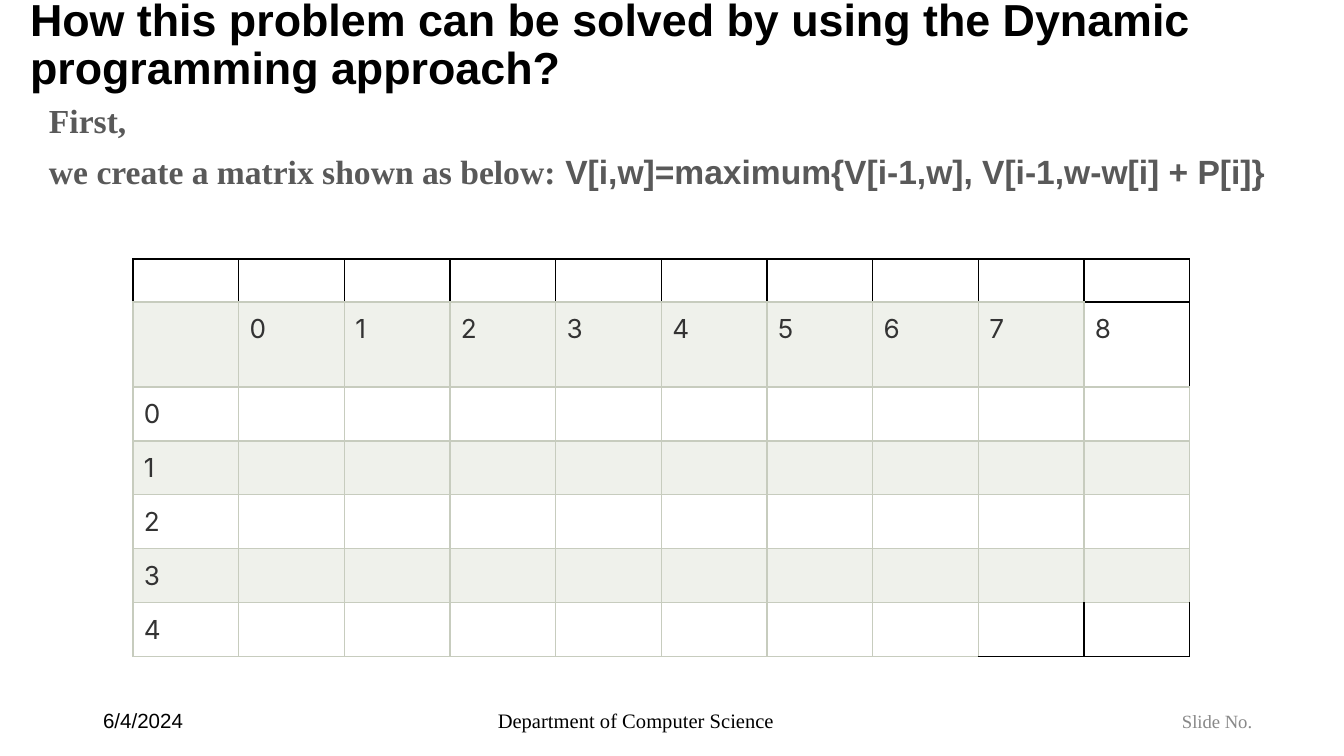
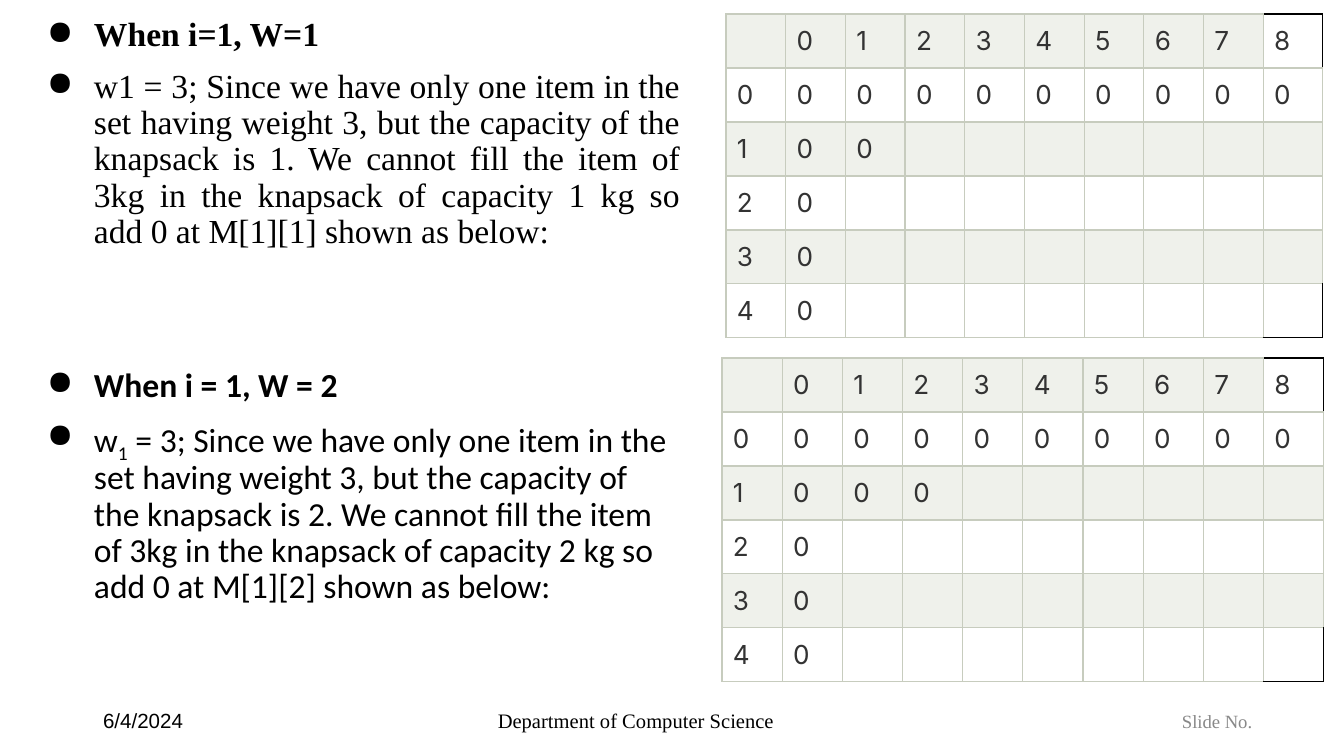
from dataclasses import dataclass

from lxml.etree import SubElement
from pptx import Presentation
from pptx.dml.color import RGBColor
from pptx.enum.text import MSO_ANCHOR as Anchor, MSO_AUTO_SIZE as AutoSize, PP_ALIGN as Align
from pptx.oxml.ns import qn
from pptx.util import Pt

SCALE = 9144000 / 1344
TITLE_ONLY, BLANK = 5, 6


@dataclass(frozen=True)
class Theme:
    black: str = "000000"
    body_gray: str = "595959"
    number_gray: str = "888888"
    cell_text: str = "333333"
    rule: str = "C7CCBE"
    tint: str = "EFF1EB"
    white: str = "FFFFFF"
    sans: str = "Arial"
    serif: str = "Times New Roman"
    humanist: str = "Calibri"
    table_font: str = "Inter"
    title_size: int = 24
    body_size: int = 18
    cell_size: int = 14
    blank_size: int = 11
    footer_size: int = 11
    number_size: int = 10
    leading: float = 0.9
    gap: int = 8
    border: float = 0.75


THEME = Theme()


def px(length):
    return round(length * SCALE)


def place(shape, box):
    shape.left, shape.top, shape.width, shape.height = map(px, box)


def set_margins(target, left, top, right, bottom):
    target.margin_left, target.margin_top = px(left), px(top)
    target.margin_right, target.margin_bottom = px(right), px(bottom)


def style_font(font, name, size, color, bold=False):
    font.name, font.size, font.bold = name, Pt(size), bold
    font.color.rgb = RGBColor.from_string(color)


def add_text_box(slide, box, margins=(10, 5, 10, 5), anchor=Anchor.TOP):
    frame = slide.shapes.add_textbox(*map(px, box)).text_frame
    frame.word_wrap = True
    frame.vertical_anchor = anchor
    set_margins(frame, *margins)
    return frame


def add_paragraph(frame, first, alignment, space_before=THEME.gap):
    paragraph = frame.paragraphs[0] if first else frame.add_paragraph()
    paragraph.alignment = alignment
    paragraph.line_spacing = THEME.leading
    paragraph.space_before = Pt(space_before)
    return paragraph


def indent(paragraph, left, first_line):
    properties = paragraph._p.get_or_add_pPr()
    properties.set("marL", str(px(left)))
    properties.set("indent", str(px(first_line)))
    return properties


def add_bullet(paragraph):
    properties = indent(paragraph, 67, -47)
    color = SubElement(properties, qn("a:buClr"))
    SubElement(color, qn("a:srgbClr"), val=THEME.black)
    SubElement(properties, qn("a:buChar"), char="●")


def add_title(slide, box, text):
    title = slide.shapes.title
    place(title, box)
    frame = title.text_frame
    frame.text = text
    frame.word_wrap = True
    frame.auto_size = AutoSize.NONE
    frame.vertical_anchor = Anchor.MIDDLE
    set_margins(frame, 10, 0, 10, 24)
    paragraph = frame.paragraphs[0]
    paragraph.alignment = Align.LEFT
    paragraph.line_spacing = THEME.leading
    style_font(paragraph.font, THEME.sans, THEME.title_size, THEME.black, True)


def add_intro(slide, box):
    frame = add_text_box(slide, box)
    lines = [
        [("First,", THEME.serif)],
        [("we create a matrix shown as below:", THEME.serif),
         (" V[i,w]=maximum{V[i-1,w], V[i-1,w-w[i] + P[i]}", THEME.sans)],
    ]
    for index, line in enumerate(lines):
        paragraph = add_paragraph(frame, index == 0, Align.JUSTIFY)
        indent(paragraph, 20, 0)
        style_font(paragraph.font, THEME.serif, THEME.body_size, THEME.body_gray, True)
        for text, font_name in line:
            run = paragraph.add_run()
            run.text = text
            run.font.name = font_name


def add_cases(slide, box):
    frame = add_text_box(slide, box)
    frame._txBody.bodyPr.set("numCol", "2")
    story = ("= 3; Since we have only one item in the set having weight 3, but the capacity "
             "of the knapsack is {0}. We cannot fill the item of 3kg in the knapsack of "
             "capacity {0} kg so add 0 at M[1][{0}] shown as below:")
    cases = [
        ("When i=1, W=1", ("w1 ", "", story.format(1)), THEME.serif, Align.JUSTIFY, THEME.gap),
        ("When i = 1, W = 2", ("w", "1", " " + story.format(2)), THEME.humanist, Align.LEFT, 63),
    ]
    for index, (heading, (stem, subscript, rest), font_name, alignment, gap) in enumerate(cases):
        paragraph = add_paragraph(frame, index == 0, alignment, gap)
        add_bullet(paragraph)
        paragraph.add_run().text = heading
        style_font(paragraph.font, font_name, THEME.body_size, THEME.black, True)

        paragraph = add_paragraph(frame, False, alignment)
        add_bullet(paragraph)
        style_font(paragraph.font, font_name, THEME.body_size, THEME.black)
        if subscript:
            paragraph.add_run().text = stem
            run = paragraph.add_run()
            run.text = subscript
            run._r.get_or_add_rPr().set("baseline", "-25000")
            paragraph.add_run().text = rest
        else:
            paragraph.add_run().text = stem + rest


def matrix_values(zero_counts):
    header = [""] + [str(weight) for weight in range(9)]
    body = [[str(item)] + ["0"] * count + [""] * (9 - count)
            for item, count in enumerate(zero_counts)]
    return [header] + body


def set_borders(cell, dark_sides):
    properties = cell._tc.get_or_add_tcPr()
    for side in "LRTB":
        line = SubElement(properties, qn(f"a:ln{side}"), w=str(Pt(THEME.border)))
        fill = SubElement(line, qn("a:solidFill"))
        color = THEME.black if side in dark_sides else THEME.rule
        SubElement(fill, qn("a:srgbClr"), val=color)


def fill_cell(cell, text, background, dark_sides):
    set_borders(cell, dark_sides)
    if background:
        cell.fill.solid()
        cell.fill.fore_color.rgb = RGBColor.from_string(background)
    else:
        cell.fill.background()
    paragraph = cell.text_frame.paragraphs[0]
    size = THEME.blank_size
    if text:
        size = THEME.cell_size
        paragraph.alignment = Align.JUSTIFY
        paragraph.add_run().text = text
        set_margins(cell, 11, 11, 11, 11)
    style_font(paragraph.font, THEME.table_font, size, THEME.cell_text)


def add_matrix(slide, left, top, width, row_heights, values, dark_edges, header_row=0):
    columns = len(values[0])
    box = (left, top, width, sum(row_heights))
    table = slide.shapes.add_table(len(values), columns, *map(px, box)).table
    table.first_row = table.horz_banding = False
    for column in table.columns:
        column.width = px(width / columns)
    for row, height in enumerate(row_heights):
        table.rows[row].height = px(height)
        band = THEME.white if (row - header_row) % 2 else THEME.tint
        for column, text in enumerate(values[row]):
            open_cell = (row, column) in dark_edges
            fill_cell(table.cell(row, column), text, None if open_cell else band,
                      dark_edges.get((row, column), ""))


def add_footer(slide):
    center, middle = Align.CENTER, Anchor.MIDDLE
    parts = [
        ("Department of Computer Science", (409, 700, 454, 40), THEME.serif,
         THEME.footer_size, THEME.black, center, middle, 5),
        ("Slide No.", (1172, 700, 152, 40), THEME.serif,
         THEME.number_size, THEME.number_gray, Align.LEFT, Anchor.TOP, 10),
        ("6/4/2024", (93, 700, 302, 40), THEME.sans,
         THEME.footer_size, THEME.black, Align.LEFT, middle, 5),
    ]
    for text, box, font_name, size, color, alignment, anchor, inset in parts:
        frame = add_text_box(slide, box, (10, inset, 10, inset), anchor)
        frame.text = text
        paragraph = frame.paragraphs[0]
        paragraph.alignment = alignment
        style_font(paragraph.font, font_name, size, color)


def build_approach_slide(presentation):
    slide = presentation.slides.add_slide(presentation.slide_layouts[TITLE_ONLY])
    add_title(slide, (20, 0, 1324, 116),
              "How this problem can be solved by using the Dynamic programming approach?")
    add_intro(slide, (19, 99, 1325, 591))
    add_footer(slide)
    values = [[""] * 10] + matrix_values([0] * 5)
    dark_edges = {(0, column): "LTR" for column in range(9)}
    dark_edges |= {(0, 9): "LTRB", (1, 9): "TR", (6, 8): "RB", (6, 9): "LRB"}
    add_matrix(slide, 133, 259, 1057, [43, 85] + [54] * 5, values, dark_edges, header_row=1)


def build_cases_slide(presentation):
    slide = presentation.slides.add_slide(presentation.slide_layouts[BLANK])
    add_cases(slide, (17, 13, 1327, 677))
    add_footer(slide)
    dark_edges = {(0, 9): "TR", (5, 9): "RB"}
    for left, top, width, known in [(726, 14, 597, 2), (722, 358, 602, 3)]:
        values = matrix_values([9, known, 1, 1, 1])
        add_matrix(slide, left, top, width, [54] * 6, values, dark_edges)


def main():
    presentation = Presentation()
    presentation.slide_width, presentation.slide_height = px(1344), px(756)
    build_approach_slide(presentation)
    build_cases_slide(presentation)
    presentation.save("out.pptx")


if __name__ == "__main__":
    main()
